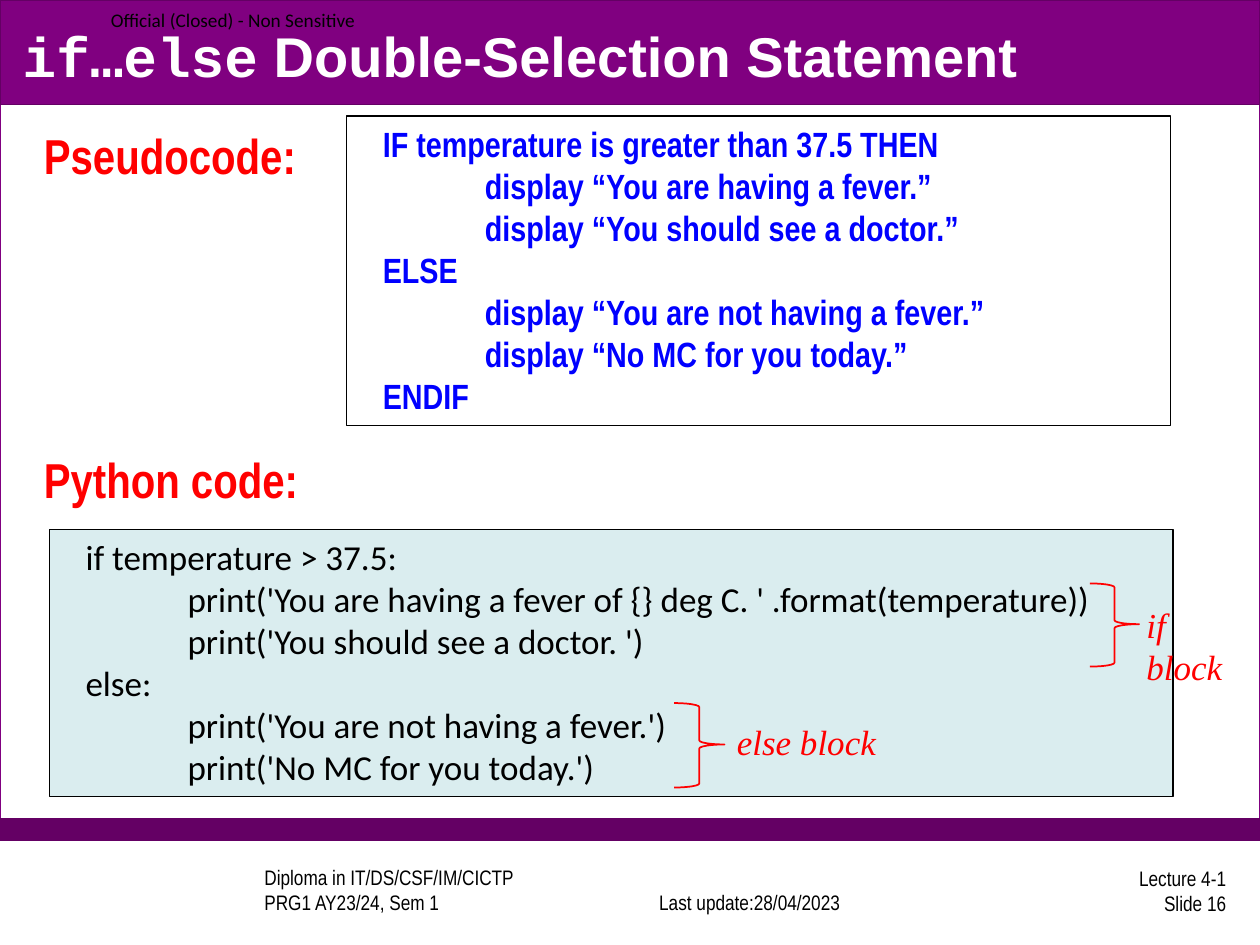
from pptx import Presentation
from pptx.dml.color import RGBColor
from pptx.enum.shapes import MSO_SHAPE as Shape
from pptx.enum.text import MSO_ANCHOR as Anchor, PP_ALIGN as Align
from pptx.util import Inches, Pt

# Content: (left, top, width, height) in inches
PURPLE, DARK_PURPLE, RED = "800080", "640064", "FF0000"
PANELS = [
    ((0, 0, 10, 6.67), "FFFFFF", PURPLE),
    ((0, 6.5, 10, 0.17), DARK_PURPLE, DARK_PURPLE),
    ((0, 0, 10, 0.83), PURPLE, DARK_PURPLE),
]
FOOTERS = [
    ((2, 6.89, 2.67, 0.42), "Diploma in IT/DS/CSF/IM/CICTP\vPRG1 AY23/24, Sem 1",
     Align.LEFT, Anchor.BOTTOM),
    ((4.91, 6.89, 2.08, 0.42), "Last update:28/04/2023", Align.CENTER, Anchor.BOTTOM),
    ((7.75, 6.86, 2.08, 0.42), "Lecture 4-1\vSlide 16", Align.RIGHT, Anchor.MIDDLE),
]
TITLE = [("if…else", "Courier New"), (" Double-Selection Statement", "Arial")]
HEADINGS = [("Pseudocode:", 0.95), ("Python code:", 3.52)]

# Listings: each line is (indent level, text)
PYTHON = [
    (0, "if temperature > 37.5:"),
    (1, "print('You are having a fever of {} deg C. ' .format(temperature))"),
    (1, "print('You should see a doctor. ')"),
    (0, "else:"),
    (1, "print('You are not having a fever.')"),
    (1, "print('No MC for you today.')"),
]
PSEUDOCODE = [
    (0, "IF temperature is greater than 37.5 THEN"),
    (1, "display “You are having a fever.”"),
    (1, "display “You should see a doctor.”"),
    (0, "ELSE"),
    (1, "display “You are not having a fever.”"),
    (1, "display “No MC for you today.”"),
    (0, "ENDIF"),
]
LISTINGS = [
    ((0.39, 4.2, 8.92, 2.12), "DAEDEF", PYTHON, "Calibri", "000000", False),
    ((2.75, 0.92, 6.54, 2.46), "FFFFFF", PSEUDOCODE, "Arial Narrow", "0000FF", True),
]
INDENTS = (0.19, 1)
BLOCKS = [
    ("if block", (9, 4.74, 1, 0.44), (8.65, 4.63, 0.39, 0.66)),
    ("else block", (5.75, 5.67, 1.5, 0.44), (5.35, 5.58, 0.4, 0.67)),
]


def colour(value):
    return RGBColor.from_string(value)


def style(font, name, size, value="000000", bold=False, italic=False):
    font.name, font.size, font.bold, font.italic = name, Pt(size), bold, italic
    font.color.rgb = colour(value)


def add_shape(kind, place, fill, line, width=0.75):
    shape = page.shapes.add_shape(kind, *map(Inches, place))
    shape.shadow.inherit = False
    if fill:
        shape.fill.solid()
        shape.fill.fore_color.rgb = colour(fill)
    else:
        shape.fill.background()
    shape.line.color.rgb = colour(line)
    shape.line.width = Pt(width)
    return shape


def add_text(place, text, *font, align=Align.LEFT, anchor=Anchor.TOP, **look):
    box = page.shapes.add_textbox(*map(Inches, place))
    frame = box.text_frame
    frame.word_wrap = True
    frame.vertical_anchor = anchor
    para = frame.paragraphs[0]
    para.text = text
    para.alignment = align
    style(para.font, *font, **look)
    return frame


deck = Presentation()
deck.slide_width, deck.slide_height = Inches(10), Inches(7.5)
page = deck.slides.add_slide(deck.slide_layouts[5])

# Frame, footer and classification
for place, fill, line in PANELS:
    add_shape(Shape.RECTANGLE, place, fill, line)
for place, text, align, anchor in FOOTERS:
    add_text(place, text, "Arial Narrow", 12, align=align, anchor=anchor)
label = add_text((0.88, 0, 2.13, 0.31), "Official (Closed) - Non Sensitive",
                 "Calibri", 11, anchor=Anchor.MIDDLE)
label.margin_left = label.margin_right = label.margin_top = label.margin_bottom = 0

# Title, raised above the banner
title = page.shapes.title
title.left, title.top, title.width, title.height = map(Inches, (0.08, 0.13, 9.83, 0.62))
title.text_frame.vertical_anchor = Anchor.MIDDLE
para = title.text_frame.paragraphs[0]
para.alignment = Align.LEFT
for text, name in TITLE:
    span = para.add_run()
    span.text = text
    style(span.font, name, 32, "FFFFFF", bold=True)
page.shapes._spTree.append(title._element)

# Headings
for text, top in HEADINGS:
    add_text((0.25, top, 2.5, 0.55), text, "Arial Narrow", 28, RED, bold=True)

# Listings
for place, fill, lines, name, ink, bold in LISTINGS:
    frame = add_shape(Shape.RECTANGLE, place, fill, "000000").text_frame
    frame.word_wrap = True
    frame.vertical_anchor = Anchor.TOP
    for number, (level, text) in enumerate(lines):
        para = frame.add_paragraph() if number else frame.paragraphs[0]
        para.text = text
        para.alignment = Align.LEFT
        para._p.get_or_add_pPr().set("marL", str(Inches(INDENTS[level])))
        style(para.font, name, 20, ink, bold)

# Block labels and braces
for text, label_place, brace_place in BLOCKS:
    add_text(label_place, text, "Times New Roman", 20, RED, italic=True).word_wrap = False
    brace = add_shape(Shape.LEFT_BRACE, brace_place, None, RED, 1)
    brace.rotation = 180
    brace.adjustments[0], brace.adjustments[1] = 0.08, 0.51

deck.save("out.pptx")
